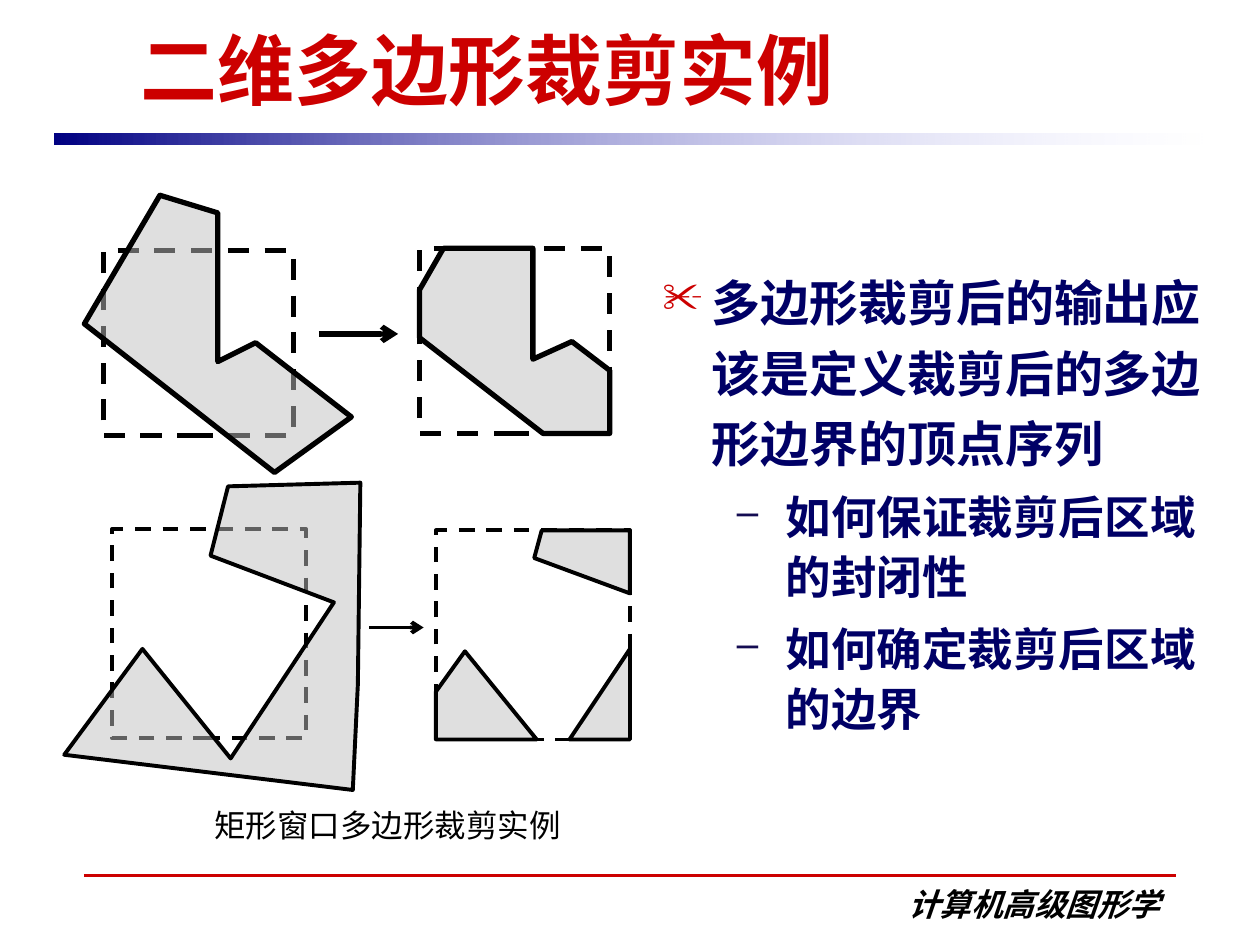
from lxml.etree import SubElement
from pptx import Presentation
from pptx.dml.color import RGBColor
from pptx.enum.dml import MSO_LINE
from pptx.enum.shapes import MSO_CONNECTOR, MSO_SHAPE
from pptx.enum.text import MSO_ANCHOR, PP_ALIGN
from pptx.oxml.ns import qn
from pptx.util import Pt

CJK = "Noto Sans CJK SC"
BLACK, RED, NAVY = "000000", "CC0000", "000066"


def color(hex_string):
    return RGBColor.from_string(hex_string)


def set_alpha(fill_parent, percent):
    for rgb in fill_parent.iter(qn("a:srgbClr")):
        SubElement(rgb, qn("a:alpha"), val=str(percent * 1000))


def add_frame(slide, left, top, width, height, anchor=MSO_ANCHOR.TOP):
    frame = slide.shapes.add_textbox(Pt(left), Pt(top), Pt(width), Pt(height)).text_frame
    frame.word_wrap = True
    frame.vertical_anchor = anchor
    return frame


def style_paragraph(paragraph, text, size, hex_string, name=CJK, bold=False, italic=False):
    paragraph.text = text
    font = paragraph.font
    font.size, font.name, font.bold, font.italic = Pt(size), name, bold, italic
    font.color.rgb = color(hex_string)
    SubElement(paragraph._p.pPr.find(qn("a:defRPr")), qn("a:ea"), typeface=CJK)


def add_bullet(paragraph, char, hex_string, left, hanging):
    props = paragraph._p.get_or_add_pPr()
    props.set("marL", str(Pt(left)))
    props.set("indent", str(-Pt(hanging)))
    SubElement(SubElement(props, qn("a:buClr")), qn("a:srgbClr"), val=hex_string)
    SubElement(props, qn("a:buSzPct"), val="85000")
    SubElement(props, qn("a:buChar"), char=char)


def add_line(slide, start, end, hex_string, weight, arrow=False):
    line = slide.shapes.add_connector(MSO_CONNECTOR.STRAIGHT, *map(Pt, start + end))
    line.line.color.rgb = color(hex_string)
    line.line.width = Pt(weight)
    if arrow:
        SubElement(line.line._get_or_add_ln(), qn("a:tailEnd"), type="arrow")
    SubElement(line._element.spPr, qn("a:effectLst"))


def add_title(slide, left, top, width, height):
    frame = add_frame(slide, left, top, width, height, MSO_ANCHOR.BOTTOM)
    style_paragraph(frame.paragraphs[0], "二维多边形裁剪实例", 44, RED, bold=True)


def add_title_bar(slide, left, top, width, height):
    bar = slide.shapes.add_shape(MSO_SHAPE.RECTANGLE, Pt(left), Pt(top), Pt(width), Pt(height))
    bar.shadow.inherit = False
    bar.line.fill.background()
    bar.fill.gradient()
    bar.fill.gradient_angle = 0
    first, last = bar.fill.gradient_stops
    first.color.rgb, first.position = color("000082"), 0
    last.color.rgb, last.position = color("CCCCFF"), 1
    set_alpha(bar._element.spPr.findall(".//" + qn("a:gs"))[-1], 0)


def add_footer(slide, left, top, width):
    add_line(slide, (left, top), (left + width, top), RED, 1.75)
    frame = add_frame(slide, left + width - 198, top + 1.5, 196, 29)
    style_paragraph(frame.paragraphs[0], "计算机高级图形学", 18, BLACK, bold=True, italic=True)
    frame.paragraphs[0].alignment = PP_ALIGN.RIGHT


def add_clip_window(slide, left, top, width, height, weight, polygons):
    """Dashed window with polygons whose points are relative to its corner."""
    window = slide.shapes.add_shape(
        MSO_SHAPE.RECTANGLE, Pt(left), Pt(top), Pt(width), Pt(height))
    window.fill.background()
    window.line.dash_style = MSO_LINE.DASH
    outlined = [window]
    for points in polygons:
        start, *rest = [(Pt(left + x), Pt(top + y)) for x, y in points]
        builder = slide.shapes.build_freeform(*start)
        builder.add_line_segments(rest, close=True)
        polygon = builder.convert_to_shape()
        polygon.fill.solid()
        polygon.fill.fore_color.rgb = color("C0C0C0")
        set_alpha(polygon._element.spPr, 50)
        outlined.append(polygon)
    for shape in outlined:
        shape.shadow.inherit = False
        shape.line.color.rgb = color(BLACK)
        shape.line.width = Pt(weight)


def add_concave_example(slide, left, top):
    size = (108.7, 105.8)
    add_clip_window(slide, left, top, *size, 3, [
        [(32.4, -31.7), (-10.8, 41.8), (97.9, 126.7), (141.8, 95),
         (87.1, 52.6), (65.5, 63.4), (65.5, -21.6)]])
    add_clip_window(slide, left + 180.7, top - 1.4, *size, 3, [
        [(13.7, 0), (0, 23.8), (0, 51.1), (70.6, 105.8), (108.7, 105.8),
         (108.7, 69.8), (87.1, 53.3), (64.8, 63.4), (64.8, 0)]])
    add_line(slide, (left + 123.2, top + 47.5), (left + 168.5, top + 47.5), BLACK, 3, arrow=True)


def add_split_example(slide, left, top):
    size = (110.9, 119.5)
    add_clip_window(slide, left, top, *size, 2.25, [
        [(126.7, 41.8), (67.7, 131), (17.3, 68.4), (-27.4, 128.9), (137.5, 149),
         (140.4, 88.6), (141.8, -26.6), (66.2, -24.5), (56.2, 15.1)]])
    add_clip_window(slide, left + 185, top + 0.7, *size, 2.25, [
        [(16.6, 69.1), (0, 92.2), (0, 119.5), (57.6, 119.5)],
        [(110.9, 67.7), (110.9, 119.5), (76.3, 119.5)],
        [(60.5, 0), (56.2, 15.8), (110.9, 36), (110.9, 0)]])
    add_line(slide, (left + 147, top + 56.2), (left + 178, top + 56.2), BLACK, 2.25, arrow=True)


def add_caption(slide, left, top, width, height):
    frame = add_frame(slide, left, top, width, height)
    style_paragraph(frame.paragraphs[0], "矩形窗口多边形裁剪实例", 18, BLACK, "Arial")
    frame.paragraphs[0].alignment = PP_ALIGN.CENTER


def add_questions(slide, left, top, width, height):
    frame = add_frame(slide, left, top, width, height)
    point = frame.paragraphs[0]
    add_bullet(point, "✂", RED, 28, 28)
    point.line_spacing = 1.2
    style_paragraph(point, "多边形裁剪后的输出应该是定义裁剪后的多边形边界的顶点序列", 28, NAVY, bold=True)
    for question in ("如何保证裁剪后区域的封闭性", "如何确定裁剪后区域的边界"):
        paragraph = frame.add_paragraph()
        paragraph.level = 1
        add_bullet(paragraph, "–", "140C52", 70.5, 28)
        paragraph.line_spacing = 1.1
        paragraph.space_before = Pt(6.5)
        style_paragraph(paragraph, question, 26, NAVY, bold=True)


def main():
    deck = Presentation()
    deck.slide_width, deck.slide_height = Pt(720), Pt(540)
    slide = deck.slides.add_slide(deck.slide_layouts[6])
    add_footer(slide, 48, 500.5, 624)
    add_title_bar(slide, 31, 76.3, 658, 6.5)
    add_questions(slide, 371.5, 145.5, 326, 281)
    add_title(slide, 73.5, 9.4, 601, 59.8)
    add_concave_example(slide, 59, 143.3)
    add_split_example(slide, 64.1, 302.4)
    add_caption(slide, 99.4, 457.2, 244, 29)
    deck.save("out.pptx")


if __name__ == "__main__":
    main()
